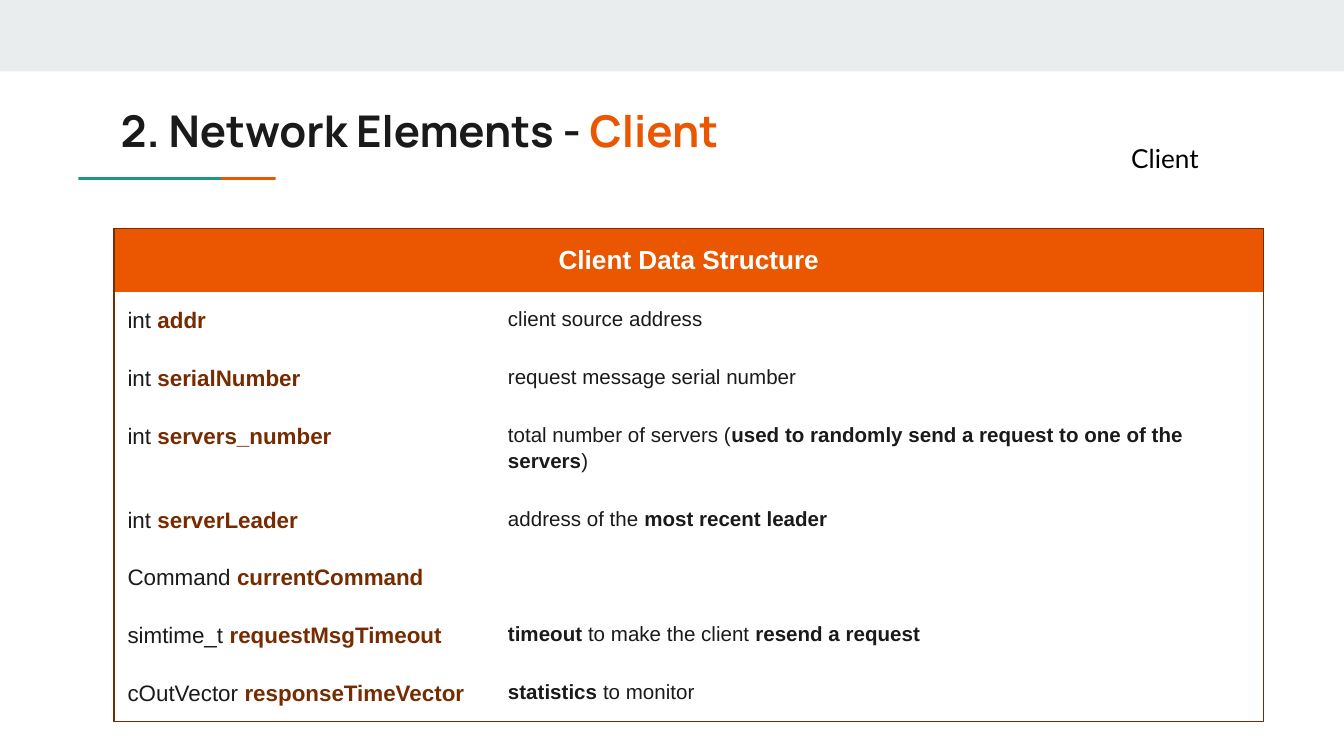
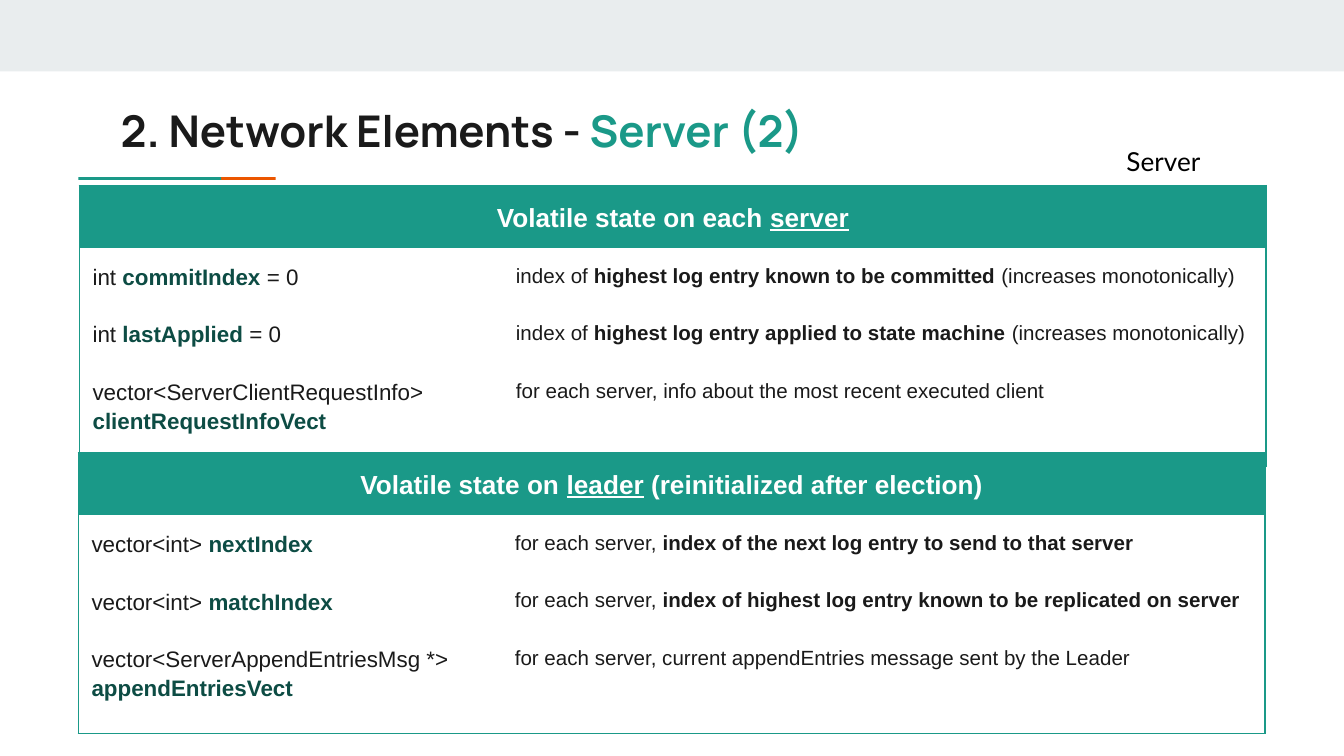
from lxml import etree
from pptx import Presentation
from pptx import util as u
from pptx.dml.color import RGBColor
from pptx.enum import shapes, text
from pptx.oxml import ns

HUES = {
    "band": "E9EDEE", "ink": "1A1A1A", "black": "000000", "white": "FFFFFF",
    "orange": "EB5600", "brown": "762B00", "teal": "1A9988", "pine": "0D4C44",
}
PAD = u.Cm(0.25)
INSETS = {f"margin_{side}": PAD for side in ("left", "right", "top", "bottom")}

# Text formats
TITLE = {"name": "Manrope", "size": u.Pt(23.4), "bold": True, "hue": "ink"}
LABEL = {"name": "Lato", "size": u.Pt(14), "bold": False, "hue": "black"}
HEAD = {"name": "Arial", "size": u.Pt(14), "bold": True, "hue": "white"}
FIELD = {"name": "Arial", "size": u.Pt(12), "bold": False, "hue": "ink"}
NOTE = FIELD | {"size": u.Pt(11)}

# Slides: bars in a text switch its emphasis on and off
SLIDES = [
    {
        "title": "2. Network Elements - |Client", "hue": "orange",
        "deep": "brown", "edge": "brown",
        "label": ("Client", 21.13, 2.44),
        "tables": [{
            "at": (2.16, 4.32), "cols": (7.19, 14.53),
            "rows": (1.19, 1.09, 1.09, 1.59, 1.09, 1.09, 1.09, 1.09),
            "head": "Client Data Structure",
            "body": [
                ("int |addr", "client source address"),
                ("int |serialNumber", "request message serial number"),
                ("int |servers_number", "total number of servers (|used to "
                 "randomly send a request to one of the servers|)"),
                ("int |serverLeader", "address of the |most recent leader"),
                ("Command |currentCommand", ""),
                ("simtime_t |requestMsgTimeout",
                 "|timeout| to make the client |resend a request"),
                ("cOutVector |responseTimeVector", "|statistics| to monitor"),
            ],
        }],
    },
    {
        "title": "2. Network Elements - |Server (2)", "hue": "teal",
        "deep": "pine", "edge": "teal",
        "label": ("Server", 21.04, 2.49),
        "tables": [{
            "at": (1.5, 3.51), "cols": (8, 14.43),
            "rows": (1.13, 1.05, 1.05, 1.95),
            "head": "Volatile state on each |server",
            "body": [
                ("int |commitIndex| = 0", "index of |highest log entry known "
                 "to be committed |(increases monotonically)"),
                ("int |lastApplied| = 0", "index of |highest log entry applied "
                 "to state machine |(increases monotonically)"),
                ("vector<ServerClientRequestInfo> |clientRequestInfoVect",
                 "for each server, info about the most recent executed client"),
            ],
        }, {
            "at": (1.48, 8.56), "cols": (8, 14.43),
            "rows": (1.13, 1.05, 1.05, 1.95),
            "head": "Volatile state on |leader| (reinitialized after election)",
            "body": [
                ("vector<int> |nextIndex", "for each server, |index of the "
                 "next log entry to send to that server"),
                ("vector<int> |matchIndex", "for each server, |index of highest "
                 "log entry known to be replicated on server"),
                ("vector<ServerAppendEntriesMsg *> |appendEntriesVect",
                 "for each server, current appendEntries message sent by the Leader"),
            ],
        }],
    },
]


def write(par, words, base, strong):
    """Fill a paragraph; every second part takes the strong format."""
    for i, part in enumerate(words.split("|")):
        if not part:
            continue
        run = par.add_run()
        run.text = part
        form = base | strong if i % 2 else base
        for key, val in form.items():
            if key == "hue":
                run.font.color.rgb = RGBColor.from_string(HUES[val])
            else:
                setattr(run.font, key, val)
    if not words:
        etree.SubElement(par._p, ns.qn("a:endParaRPr"), sz=str(int(base["size"].pt * 100)))


def rule(cell, sides, hue):
    """Draw the named sides of a cell and clear the others."""
    props = cell._tc.get_or_add_tcPr()
    for side in "LRTB":
        line = etree.SubElement(props, ns.qn("a:ln" + side), w=str(u.Pt(1)))
        if side in sides:
            fill = etree.SubElement(line, ns.qn("a:solidFill"))
            etree.SubElement(fill, ns.qn("a:srgbClr"), val=HUES[hue])
        else:
            etree.SubElement(line, ns.qn("a:noFill"))


deck = Presentation()
deck.slide_width, deck.slide_height = u.Cm(25.4), u.Cm(14.29)

for page in SLIDES:
    slide = deck.slides.add_slide(deck.slide_layouts[6])

    # Top band and two-tone accent line
    for hue, *box in [("band", 0, 0, 25.4, 1.35),
                      ("orange", 2.51, 3.35, 2.7, 0.05),
                      ("teal", 1.48, 3.35, 2.7, 0.05)]:
        bar = slide.shapes.add_shape(shapes.MSO_SHAPE.RECTANGLE, *map(u.Cm, box))
        bar.shadow.inherit = False
        bar.fill.solid()
        bar.fill.fore_color.rgb = RGBColor.from_string(HUES[hue])
        bar.line.fill.background()

    # Title and corner label
    name, left, top = page["label"]
    for words, form, anchor, *box in [
            (page["title"], TITLE, text.MSO_ANCHOR.MIDDLE, 2.03, 1.7, 21.36, 1.5),
            (name, LABEL, text.MSO_ANCHOR.TOP, left, top, 2.24, 1.1)]:
        frame = slide.shapes.add_textbox(*map(u.Cm, box)).text_frame
        for key, val in (INSETS | {"word_wrap": True, "vertical_anchor": anchor}).items():
            setattr(frame, key, val)
        write(frame.paragraphs[0], words, form, {"hue": page["hue"]})

    # Tables
    for part in page["tables"]:
        cols, rows = part["cols"], part["rows"]
        size = map(u.Cm, (*part["at"], sum(cols), sum(rows)))
        grid = slide.shapes.add_table(len(rows), 2, *size).table
        grid.first_row = grid.horz_banding = False
        for col, width in zip(grid.columns, cols):
            col.width = u.Cm(width)
        for row, high in zip(grid.rows, rows):
            row.height = u.Cm(high)
        grid.cell(0, 0).merge(grid.cell(0, 1))

        forms = [(FIELD, {"bold": True, "hue": page["deep"]}), (NOTE, {"bold": True})]
        for r, line in enumerate([(part["head"],), *part["body"]]):
            for c, words in enumerate(line):
                cell = grid.cell(r, c)
                for key, val in INSETS.items():
                    setattr(cell, key, val)
                par = cell.text_frame.paragraphs[0]
                par.line_spacing = 1.15
                if r == 0:
                    par.alignment = text.PP_ALIGN.CENTER
                    write(par, words, HEAD, {"underline": True})
                    rule(cell, "LRT", page["edge"])
                    cell.fill.solid()
                    cell.fill.fore_color.rgb = RGBColor.from_string(HUES[page["hue"]])
                else:
                    write(par, words, *forms[c])
                    rule(cell, "LR"[c] + "B" * (r == len(rows) - 1), page["edge"])
                    cell.fill.background()
        rule(grid.cell(0, 1), "RT", page["edge"])

deck.save("out.pptx")
